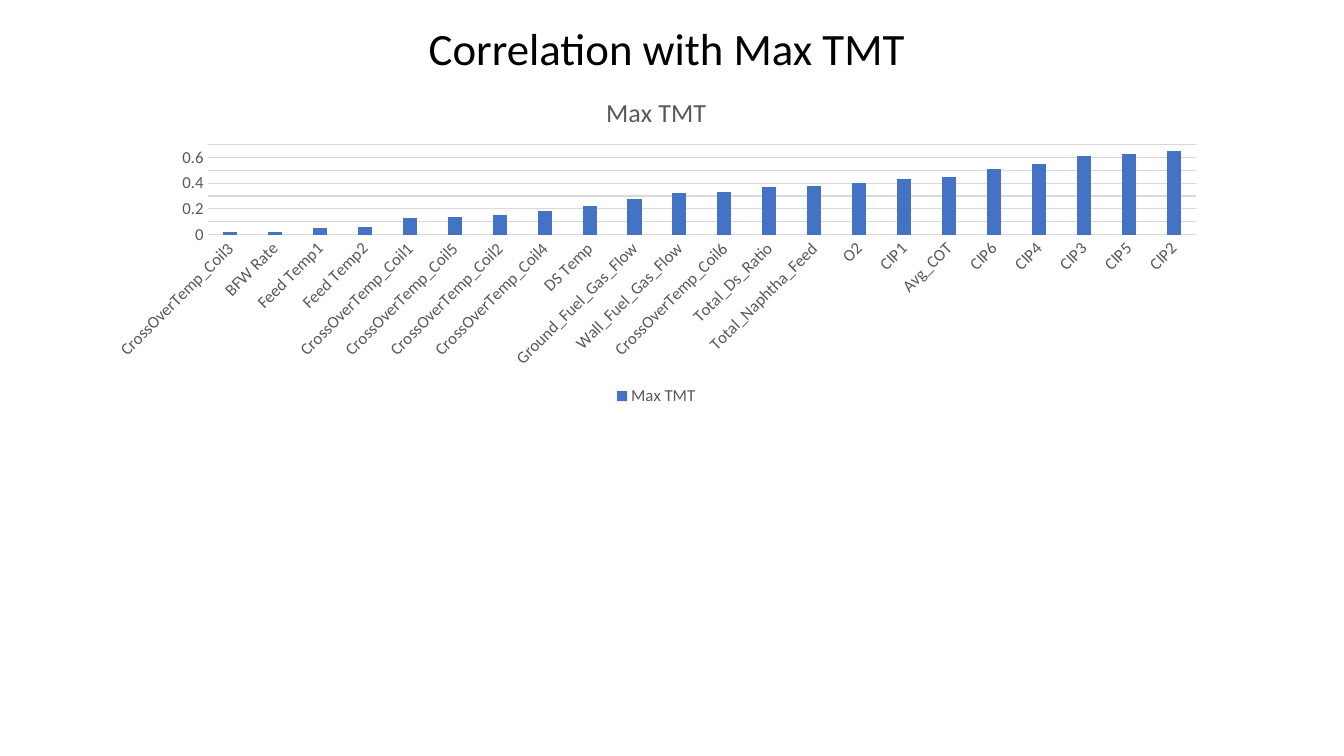
import pptx
import pptx.chart.data
import pptx.dml.color
import pptx.enum.chart
import pptx.enum.text
import pptx.util

Pt = pptx.util.Pt


def rgb(value):
    return pptx.dml.color.RGBColor.from_string(value)


class Deck:
    """Holds the style and the current slide, and adds its elements."""

    face = "Calibri"
    ink = "000000"
    gray = "595959"
    rule = "D9D9D9"
    accent = "4472C4"

    def __init__(self, width, height):
        self.prs = pptx.Presentation()
        self.prs.slide_width = Pt(width)
        self.prs.slide_height = Pt(height)
        self.s = self.prs.slides.add_slide(self.prs.slide_layouts[5])

    def font(self, font, size, color):
        font.name = self.face
        font.size = Pt(size)
        font.bold = False
        font.color.rgb = rgb(color)

    def line(self, line):
        line.color.rgb = rgb(self.rule)
        line.width = Pt(0.75)

    def title(self, text, x, y, w, h):
        sp = self.s.shapes.title
        sp.left, sp.top, sp.width, sp.height = Pt(x), Pt(y), Pt(w), Pt(h)
        tf = sp.text_frame
        tf.word_wrap = True
        tf.auto_size = pptx.enum.text.MSO_AUTO_SIZE.NONE
        tf.vertical_anchor = pptx.enum.text.MSO_ANCHOR.TOP
        p = tf.paragraphs[0]
        p.alignment = pptx.enum.text.PP_ALIGN.LEFT
        r = p.add_run()
        r.text = text
        self.font(r.font, 32, self.ink)

    def column_chart(self, name, values, x, y, w, h):
        data = pptx.chart.data.CategoryChartData()
        data.categories = list(values)
        data.add_series(name, list(values.values()))
        kind = pptx.enum.chart.XL_CHART_TYPE.COLUMN_CLUSTERED
        chart = self.s.shapes.add_chart(kind, Pt(x), Pt(y), Pt(w), Pt(h), data).chart
        self.font(chart.font, 10, self.ink)

        chart.has_title = True
        r = chart.chart_title.text_frame.paragraphs[0].add_run()
        r.text = name
        self.font(r.font, 18.6, self.gray)
        chart.chart_title.include_in_layout = False

        chart.has_legend = True
        chart.legend.position = pptx.enum.chart.XL_LEGEND_POSITION.BOTTOM
        chart.legend.include_in_layout = False
        self.font(chart.legend.font, 12, self.gray)

        for axis in (chart.category_axis, chart.value_axis):
            axis.major_tick_mark = pptx.enum.chart.XL_TICK_MARK.NONE
            axis.minor_tick_mark = pptx.enum.chart.XL_TICK_MARK.NONE
            self.font(axis.tick_labels.font, 12, self.gray)
        self.line(chart.category_axis.format.line)
        body = chart.category_axis._element.txPr.find(pptx.oxml.ns.qn("a:bodyPr"))
        body.set("rot", str(-45 * 60000))
        body.set("vert", "horz")

        axis = chart.value_axis
        axis.minimum_scale, axis.maximum_scale, axis.major_unit = 0, 0.7, 0.1
        axis.format.line.fill.background()
        axis.has_major_gridlines = True
        self.line(axis.major_gridlines.format.line)

        plot = chart.plots[0]
        plot.gap_width, plot.overlap = 219, -27
        plot.vary_by_categories = False
        fill = plot.series[0].format.fill
        fill.solid()
        fill.fore_color.rgb = rgb(self.accent)


correlations = {
    "CrossOverTemp_Coil3": 0.02,
    "BFW Rate": 0.02,
    "Feed Temp1": 0.05,
    "Feed Temp2": 0.06,
    "CrossOverTemp_Coil1": 0.13,
    "CrossOverTemp_Coil5": 0.14,
    "CrossOverTemp_Coil2": 0.15,
    "CrossOverTemp_Coil4": 0.18,
    "DS Temp": 0.22,
    "Ground_Fuel_Gas_Flow": 0.28,
    "Wall_Fuel_Gas_Flow": 0.32,
    "CrossOverTemp_Coil6": 0.33,
    "Total_Ds_Ratio": 0.37,
    "Total_Naphtha_Feed": 0.38,
    "O2": 0.4,
    "CIP1": 0.43,
    "Avg_COT": 0.45,
    "CIP6": 0.51,
    "CIP4": 0.55,
    "CIP3": 0.61,
    "CIP5": 0.63,
    "CIP2": 0.65,
}

deck = Deck(960, 540)
deck.title("Correlation with Max TMT", 299, 11, 360, 46)
deck.column_chart("Max TMT", correlations, 67, 55.5, 803.5, 237.5)
deck.prs.save("out.pptx")
